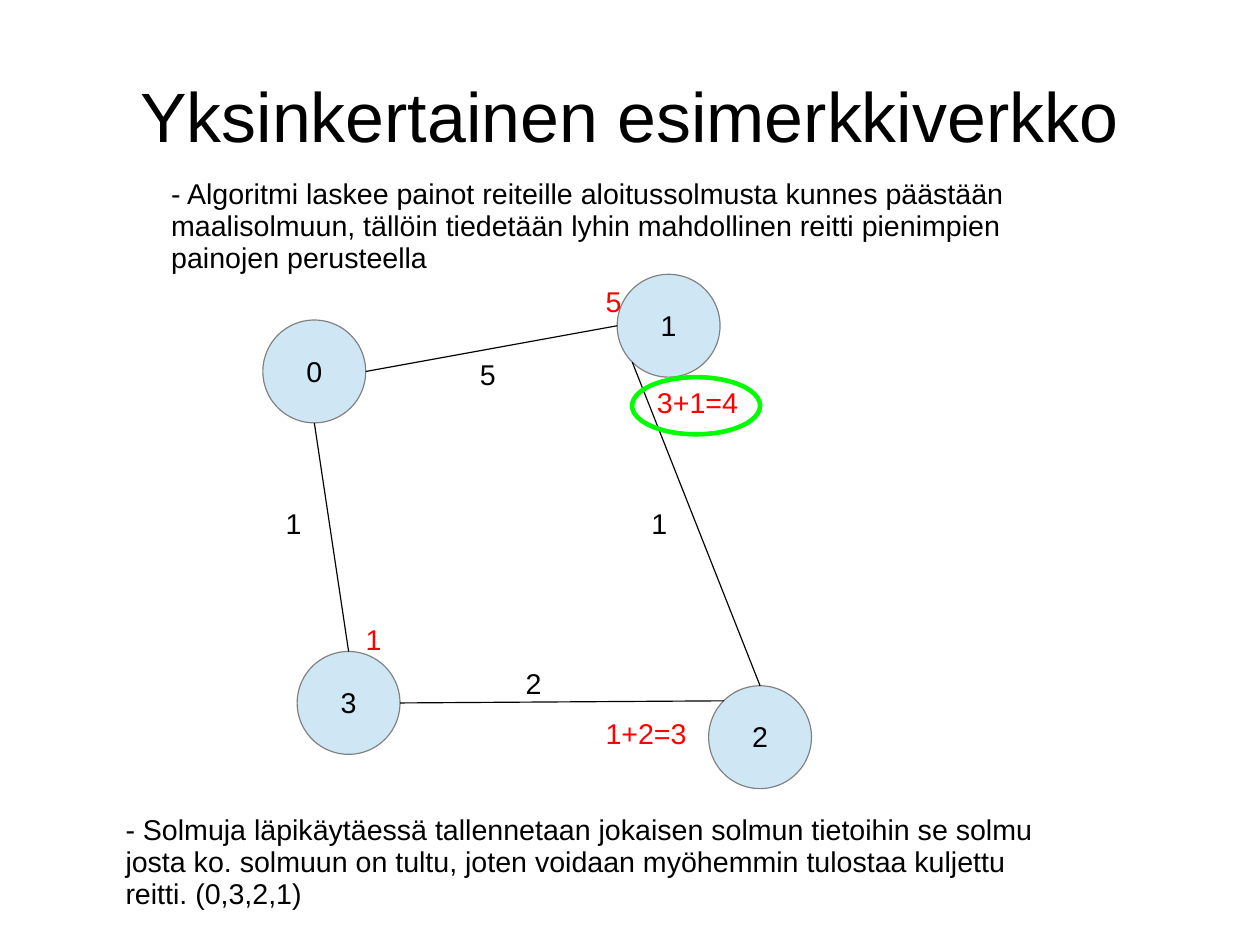
import math
import pptx
import pptx.dml.color
import pptx.enum.shapes
import pptx.enum.text
import pptx.oxml
import pptx.util

Inches = pptx.util.Inches
Pt = pptx.util.Pt
RGBColor = pptx.dml.color.RGBColor
OVAL = pptx.enum.shapes.MSO_SHAPE.OVAL
STRAIGHT = pptx.enum.shapes.MSO_CONNECTOR.STRAIGHT
ANCHOR = pptx.enum.text.MSO_ANCHOR
ALIGN = pptx.enum.text.PP_ALIGN

BLACK = RGBColor(0, 0, 0)
RED = RGBColor(255, 0, 0)
GREEN = RGBColor(0, 255, 0)
GRAY = RGBColor(128, 128, 128)
PALE_BLUE = RGBColor(0xCF, 0xE7, 0xF5)

deck = pptx.Presentation()
deck.slide_width = Inches(28 / 2.54)
deck.slide_height = Inches(21 / 2.54)
slide = deck.slides.add_slide(deck.slide_layouts[6])


def write(shape, text, size=18, color=BLACK, align=ALIGN.LEFT,
          anchor=ANCHOR.TOP, wrap=True, side=0.1, top=0.07, bottom=0.05):
    frame = shape.text_frame
    frame.word_wrap = wrap
    frame.vertical_anchor = anchor
    frame.margin_left = frame.margin_right = Inches(side)
    frame.margin_top = Inches(top)
    frame.margin_bottom = Inches(bottom)
    paragraph = frame.paragraphs[0]
    paragraph.alignment = align
    paragraph.line_spacing = 0.93
    run = paragraph.add_run()
    run.text = text
    run.font.name = "Arial"
    run.font.size = Pt(size)
    run.font.color.rgb = color


def box(left, top, width, height):
    return slide.shapes.add_textbox(Inches(left), Inches(top), Inches(width), Inches(height))


title = box(0.55, 0.33, 9.92, 1.38)
write(title, "Yksinkertainen esimerkkiverkko", size=44, align=ALIGN.CENTER,
      anchor=ANCHOR.MIDDLE, side=0, top=0.04, bottom=0)

radius = 0.45
node_centers = {"0": (2.75, 3.25), "3": (3.05, 6.15), "1": (5.85, 2.85), "2": (6.65, 6.45)}
for name, (x, y) in node_centers.items():
    node = slide.shapes.add_shape(OVAL, Inches(x - radius), Inches(y - radius),
                                  Inches(2 * radius), Inches(2 * radius))
    node.shadow.inherit = False
    node.fill.solid()
    node.fill.fore_color.rgb = PALE_BLUE
    node.line.color.rgb = GRAY
    node.line.width = Pt(0.75)
    write(node, name, align=ALIGN.CENTER, anchor=ANCHOR.MIDDLE, wrap=False)

RIGHT, BOTTOM, BOTTOM_LEFT, LEFT, TOP_LEFT, TOP = 0, 90, 135, 180, 225, 270
edges = [
    ("0", BOTTOM, "3", TOP),
    ("3", RIGHT, "2", TOP_LEFT),
    ("2", TOP, "1", BOTTOM_LEFT),
    ("0", RIGHT, "1", LEFT),
]
for start, start_angle, end, end_angle in edges:
    ends = []
    for name, angle in ((start, start_angle), (end, end_angle)):
        x, y = node_centers[name]
        ends.append(Inches(x + radius * math.cos(math.radians(angle))))
        ends.append(Inches(y + radius * math.sin(math.radians(angle))))
    edge = slide.shapes.add_connector(STRAIGHT, *ends)
    edge.line.color.rgb = BLACK
    edge.line.width = Pt(0.75)
    edge.element.spPr.append(pptx.oxml.parse_xml(
        '<a:effectLst xmlns:a="http://schemas.openxmlformats.org/drawingml/2006/main"/>'))

notes = [
    (1.4, 1.5, "- Algoritmi laskee painot reiteille aloitussolmusta kunnes päästään "
               "maalisolmuun, tällöin tiedetään lyhin mahdollinen reitti pienimpien "
               "painojen perusteella"),
    (1, 7.06, "- Solmuja läpikäytäessä tallennetaan jokaisen solmun tietoihin se solmu "
              "josta ko. solmuun on tultu, joten voidaan myöhemmin tulostaa kuljettu "
              "reitti. (0,3,2,1)"),
]
for left, top, text in notes:
    write(box(left, top, 8.4, 0.94), text)

path_weights = [(5.2, 2.44, 0.4, "5"), (3.1, 5.4, 0.4, "1"),
                (5.2, 6.22, 1, "1+2=3"), (5.65, 3.32, 1, "3+1=4")]
for left, top, width, text in path_weights:
    write(box(left, top, width, 0.38), text, color=RED)

shortest = slide.shapes.add_shape(OVAL, Inches(5.53), Inches(3.3), Inches(1.12), Inches(0.5))
shortest.shadow.inherit = False
shortest.fill.background()
shortest.line.color.rgb = GREEN
shortest.line.width = Pt(2.89)

edge_weights = [(2.4, 4.4, "1"), (5.6, 4.4, "1"), (4.5, 5.8, "2"), (4.1, 3.1, "5")]
for left, top, text in edge_weights:
    write(box(left, top, 0.5, 0.38), text, top=0.05)

deck.save("out.pptx")
